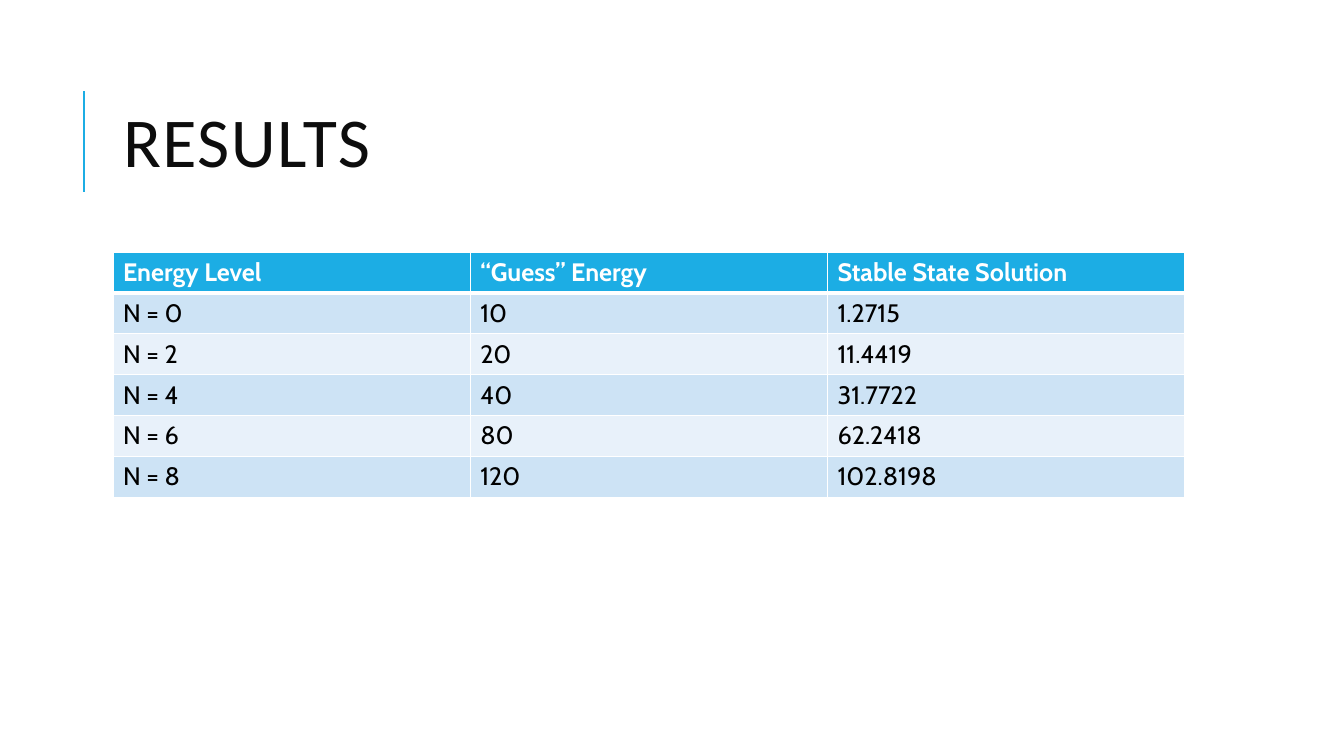
from lxml.etree import SubElement
from pptx import Presentation
from pptx.dml.color import RGBColor
from pptx.enum.shapes import MSO_CONNECTOR
from pptx.enum.text import MSO_ANCHOR, PP_ALIGN
from pptx.oxml import parse_xml
from pptx.oxml.ns import nsdecls, qn
from pptx.util import Inches, Pt

TITLE = "RESULTS"
RESULTS = [
    ("Energy Level", "“Guess” Energy", "Stable State Solution"),
    ("N = 0", "10", "1.2715"),
    ("N = 2", "20", "11.4419"),
    ("N = 4", "40", "31.7722"),
    ("N = 6", "80", "62.2418"),
    ("N = 8", "120", "102.8198"),
]
ACCENT, WHITE = "1CADE4", "FFFFFF"
BANDS = ("E8F1FA", "CDE3F5")
LEFT, WIDTH = 1.12, 10.63
TABLE_TOP, TABLE_HEIGHT = 2.5, 2.43
RULE_X, RULE_TOP, RULE_BOTTOM = 0.83, 0.9, 1.9


def paint(color_format, color):
    color_format.rgb = RGBColor.from_string(color)


def write(frame, text, *, size, font, color, bold=False, line_spacing=None, tracking=None):
    paragraph = frame.paragraphs[0]
    paragraph.alignment = PP_ALIGN.LEFT
    if line_spacing:
        paragraph.line_spacing = line_spacing
    run = paragraph.add_run()
    run.text = text
    run.font.size = Pt(size)
    run.font.name = font
    run.font.bold = bold
    paint(run.font.color, color)
    if tracking:
        run.font._element.set("spc", str(tracking * 100))


def set_borders(cell, top, bottom):
    properties = cell._tc.get_or_add_tcPr()
    edges = (("lnL", 1), ("lnR", 1), ("lnT", top), ("lnB", bottom))
    for position, (edge, points) in enumerate(edges):
        border = parse_xml(
            f'<a:{edge} {nsdecls("a")} w="{Pt(points)}"><a:solidFill>'
            f'<a:srgbClr val="{WHITE}"/></a:solidFill></a:{edge}>'
        )
        properties.insert(position, border)


def add_title(slide):
    title = slide.shapes.title
    title.left, title.top = Inches(LEFT), Inches(0.64)
    title.width, title.height = Inches(WIDTH), Inches(1.64)
    title.text_frame.vertical_anchor = MSO_ANCHOR.MIDDLE
    write(title.text_frame, TITLE, size=50, font="Calibri", color="0D0D0D",
          line_spacing=0.8, tracking=1)


def add_title_rule(slide):
    rule = slide.shapes.add_connector(
        MSO_CONNECTOR.STRAIGHT, Inches(RULE_X), Inches(RULE_BOTTOM),
        Inches(RULE_X), Inches(RULE_TOP))
    rule.line.width = Pt(1.5)
    paint(rule.line.color, ACCENT)
    SubElement(rule._element.spPr, qn("a:effectLst"))


def add_results_table(slide):
    table = slide.shapes.add_table(
        len(RESULTS), len(RESULTS[0]), Inches(LEFT), Inches(TABLE_TOP),
        Inches(WIDTH), Inches(TABLE_HEIGHT)).table
    for row, values in enumerate(RESULTS):
        header = row == 0
        for column, value in enumerate(values):
            cell = table.cell(row, column)
            cell.fill.solid()
            paint(cell.fill.fore_color, ACCENT if header else BANDS[row % 2])
            set_borders(cell, top=3 if row == 1 else 1, bottom=3 if header else 1)
            write(cell.text_frame, value, size=18, font="Cabin",
                  color=WHITE if header else "000000", bold=header)


def main():
    presentation = Presentation()
    presentation.slide_width, presentation.slide_height = Inches(13.33), Inches(7.5)
    slide = presentation.slides.add_slide(presentation.slide_layouts[5])
    slide.background.fill.solid()
    paint(slide.background.fill.fore_color, WHITE)
    add_title_rule(slide)
    add_title(slide)
    add_results_table(slide)
    presentation.save("out.pptx")


if __name__ == "__main__":
    main()
